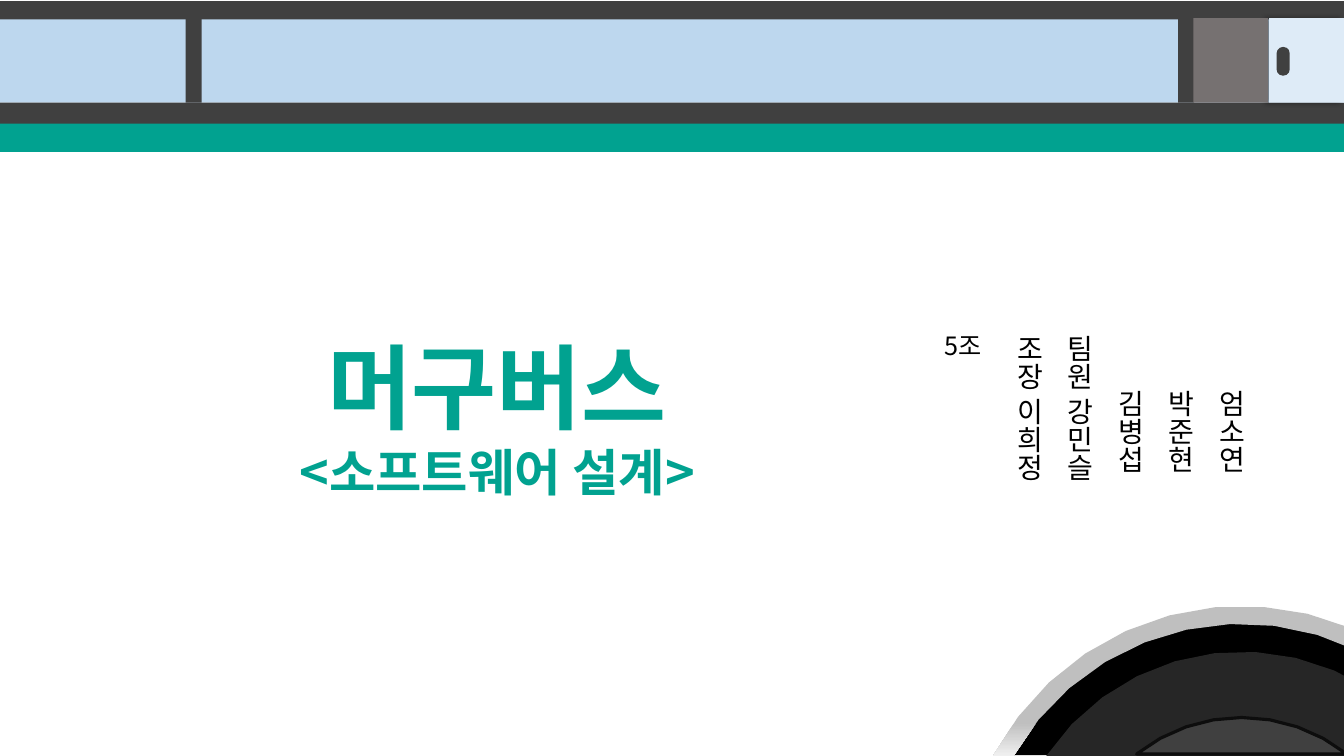
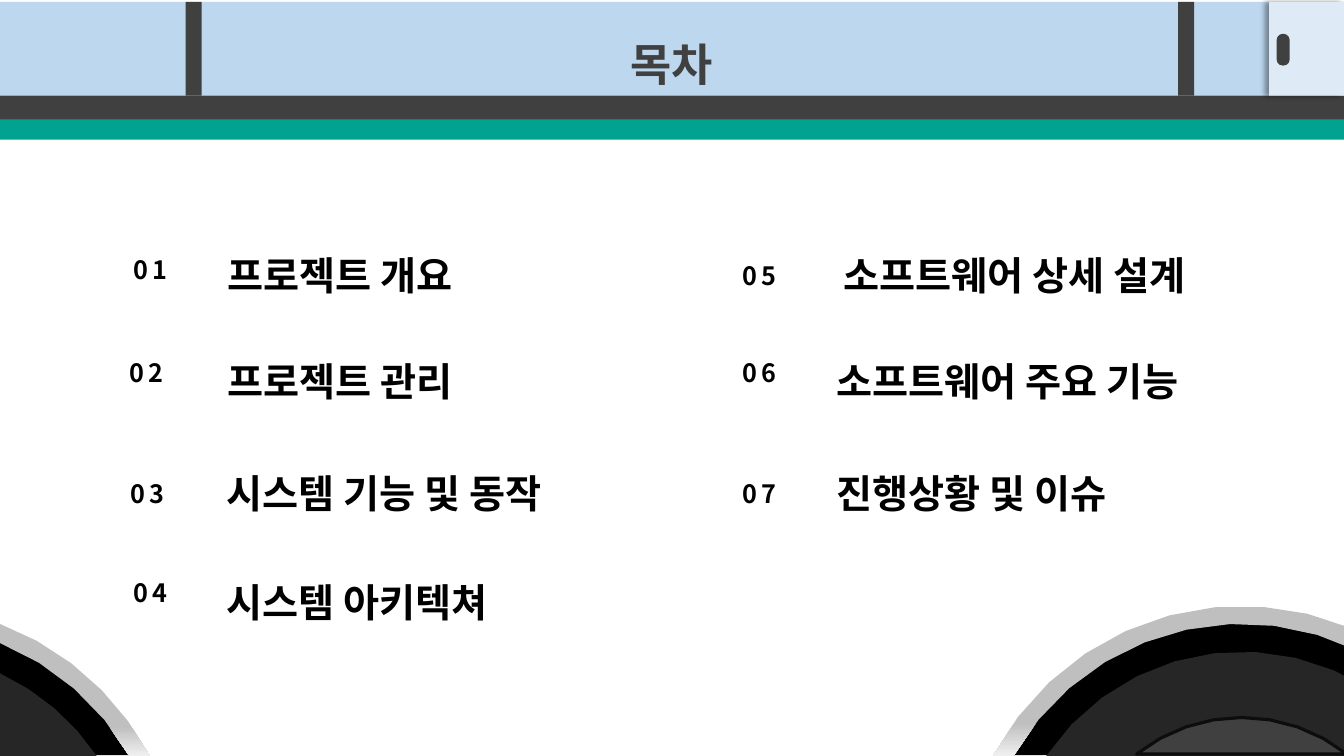
from collections import namedtuple
from math import asin, ceil, cos, pi, sin, sqrt

from lxml.etree import SubElement
from pptx import Presentation
from pptx.dml.color import RGBColor
from pptx.enum.shapes import MSO_SHAPE as Preset
from pptx.enum.text import MSO_AUTO_SIZE as Fit, PP_ALIGN as Align
from pptx.oxml.ns import qn
from pptx.util import Cm, Pt

FONT = "Noto Sans CJK KR"
COLORS = {
    "paper": "FFFFFF", "teal": "01A290", "frame": "404040", "glass": "BDD7EE",
    "door": "DEEBF7", "panel": "767171", "tyre": "000000", "rim": "262626",
    "hub_line": "0D0D0D", "arch": "BFBFBF", "arch_fade": "F0F0F0", "ink": "000000",
}
HEIGHT = 19.05
WIDTH = HEIGHT * 16 / 9
WHEEL_RIGHT, WHEEL_LEFT = 31.29, -2.49
BLEED_RIGHT = 36.02

Box = namedtuple("Box", "left top width height")
Entry = namedtuple("Entry", "number_left number_top title_left title_width title")

ENTRY_TOPS = (6.22, 8.89, 11.71, 14.45)
COLUMNS = (
    (
        Entry(2.77, 6.29, 5.49, 6.86, "프로젝트 개요"),
        Entry(2.67, 8.89, 5.49, 6.86, "프로젝트 관리"),
        Entry(2.69, 11.92, 5.46, 9.55, "시스템 기능 및 동작"),
        Entry(2.77, 14.43, 5.46, 7.85, "시스템 아키텍쳐"),
    ),
    (
        Entry(18.1, 6.43, 21.01, 10.19, "소프트웨어 상세 설계"),
        Entry(18.1, 8.89, 20.83, 10.54, "소프트웨어 주요 기능"),
        Entry(18.1, 11.92, 20.83, 8.2, "진행상황 및 이슈"),
    ),
)


def rgb(name):
    """Return the named colour."""
    return RGBColor.from_string(COLORS[name])


def paint(shape, color):
    """Give a shape a plain fill without line or shadow."""
    shape.shadow.inherit = False
    shape.fill.solid()
    shape.fill.fore_color.rgb = rgb(color)
    shape.line.fill.background()
    return shape


def add_block(group, box, color, preset=Preset.RECTANGLE):
    """Add a filled preset shape to a group."""
    return paint(group.shapes.add_shape(preset, *map(Cm, box)), color)


def add_text(page, box, lines, size, color="ink", bold=False, align=None,
             wrap=True, spacing=None, vertical=None, tracking=None):
    """Add a text box with one paragraph for each line."""
    frame = page.shapes.add_textbox(*map(Cm, box)).text_frame
    frame.word_wrap = wrap
    frame.auto_size = Fit.SHAPE_TO_FIT_TEXT
    if vertical:
        frame._txBody.bodyPr.set("vert", vertical)
    frame.text = "\n".join(lines)
    for para in frame.paragraphs:
        para.alignment = align
        para.line_spacing = spacing
        for span in para.runs:
            span.font.name = FONT
            span.font.size = Pt(size)
            span.font.bold = bold
            span.font.color.rgb = rgb(color)
            props = span._r.get_or_add_rPr()
            SubElement(props, qn("a:ea"), typeface=FONT)
            if tracking:
                props.set("spc", str(tracking * 100))
    return frame


def add_door_shadow(door):
    """Let the door cast a soft shadow to its left."""
    effects = door._element.spPr.find(qn("a:effectLst"))
    shadow = SubElement(effects, qn("a:outerShdw"), blurRad=str(Pt(4)), dist=str(Pt(3)),
                        dir="10800000", algn="r", rotWithShape="0")
    tone = SubElement(shadow, qn("a:srgbClr"), val=COLORS["ink"])
    SubElement(tone, qn("a:alpha"), val="40000")


def add_bus_side(page, window, sill, stripe, has_roof=False):
    """Draw the bus windows, frame, stripe and door around the window box."""
    group = page.shapes.add_group_shape()
    left, top, width, height = window
    bottom = top + height
    overlap = 0.02
    add_block(group, window, "glass")
    add_block(group, Box(left, bottom + sill - overlap, width, stripe + overlap), "teal")
    add_block(group, Box(left, bottom, width, sill), "frame")
    if has_roof:
        add_block(group, Box(left, 0.03, width, top), "frame")
    for post in (4.68, 29.69):
        add_block(group, Box(left + post, bottom - 2.36, 0.4, 2.36), "frame")
    add_door_shadow(add_block(group, Box(left + 31.98, top, 1.9, height), "door"))
    latch_box = Box(left + 32.17, top + height * 0.34, 0.33, height * 0.34)
    latch = add_block(group, latch_box, "frame", Preset.ROUNDED_RECTANGLE)
    latch.adjustments[0] = 0.48
    if has_roof:
        add_block(group, Box(left + 30.07, top, 1.89, height), "panel")


def arc_points(center, radius, bounds):
    """Return points on a circle's top between the side bounds and above the floor."""
    center_x, center_y = center
    low, high, floor = bounds
    reach = sqrt(radius ** 2 - (center_y - floor) ** 2)
    first, last = (
        asin((x - center_x) / radius)
        for x in (max(low, center_x - reach), min(high, center_x + reach))
    )
    steps = ceil((last - first) / (pi / 18))
    angles = [first + (last - first) * step / steps for step in range(steps + 1)]
    return [(center_x + radius * sin(a), center_y - radius * cos(a)) for a in angles]


def add_outline(group, points, color):
    """Add a closed freeform through the points."""
    start, *others = [(Cm(x), Cm(y)) for x, y in points]
    builder = group.shapes.build_freeform(*start)
    builder.add_line_segments(others, close=True)
    return paint(builder.convert_to_shape(), color)


def add_disc(group, center, radius, bounds, color):
    """Add the visible part of a disc."""
    points = arc_points(center, radius, bounds)
    floor = bounds[2]
    corners = [(x, floor) for x, y in (points[-1], points[0]) if y < floor - 0.01]
    return add_outline(group, points + corners, color)


def add_wheel(page, center_x, low, high, has_hub=False):
    """Draw a wheel under its arch, cut off by the page's lower edge."""
    group = page.shapes.add_group_shape()
    center = (center_x, HEIGHT + 3.3)
    bounds = (low, high, HEIGHT)
    add_disc(group, center, 6.68, (low, high, HEIGHT - 0.02), "tyre")
    add_disc(group, center, 5.93, bounds, "rim")
    if has_hub:
        hub = add_disc(group, center, 4.27, (low, high, HEIGHT - 0.05), "frame")
        hub.line.color.rgb = rgb("hub_line")
        hub.line.width = Pt(2.25)
    outer, inner = (arc_points(center, radius, bounds) for radius in (7.08, 6.63))
    arch = add_outline(group, outer + inner[::-1], "arch")
    arch.fill.gradient()
    arch.fill.gradient_angle = 270
    for stop, place, color in zip(arch.fill.gradient_stops, (0.78, 1), ("arch", "arch_fade")):
        stop.position = place
        stop.color.rgb = rgb(color)


def add_page(deck):
    """Add a blank page with a plain background."""
    page = deck.slides.add_slide(deck.slide_layouts[6])
    page.background.fill.solid()
    page.background.fill.fore_color.rgb = rgb("paper")
    return page


def add_team(page, box):
    """Write the team members in vertical columns, read from the right."""
    members = ("엄소연", "박준현", "김병섭", "팀원 강민슬", "조장 이희정")
    frame = add_text(page, box, members, 20, spacing=1.5, vertical="eaVert")
    for para in frame.paragraphs[:3]:
        props = para._p.get_or_add_pPr()
        props.set("marL", str(Cm(1.37)))
        props.set("indent", "0")


def add_cover(deck):
    """Build the cover page."""
    page = add_page(deck)
    frame = add_text(page, Box(6.63, 8.2, 11.79, 4.62), ["머구버스", "<소프트웨어 설계>"],
                     36, "teal", bold=True, align=Align.CENTER, wrap=False)
    frame.paragraphs[0].runs[0].font.size = Pt(66)
    add_team(page, Box(25.06, 8.2, 6.93, 4.45))
    add_wheel(page, WHEEL_RIGHT, 0, BLEED_RIGHT, has_hub=True)
    add_bus_side(page, Box(0, 0.46, WIDTH, 2.13), 0.53, 0.71, has_roof=True)
    add_text(page, Box(23.56, 8.2, 1.5, 2.24), ["5조"], 18, wrap=False,
             vertical="wordArtVertRtl")


def add_entry(page, number, top, entry):
    """Write one numbered line of the contents."""
    add_text(page, Box(entry.number_left, entry.number_top, 2.06, 1.02),
             [f"{number:02}"], 18, bold=True, align=Align.CENTER, tracking=3)
    add_text(page, Box(entry.title_left, top, entry.title_width, 1.45),
             [entry.title], 28, bold=True, wrap=False)


def add_contents(deck):
    """Build the contents page."""
    page = add_page(deck)
    add_bus_side(page, Box(0, 0.05, WIDTH, 2.36), 0.6, 0.51)
    add_text(page, Box(10.46, 0.13, 12.95, 2.31), ["목차"], 32, "frame", bold=True,
             align=Align.CENTER, spacing=1.5)
    add_wheel(page, WHEEL_LEFT, 0, WIDTH)
    add_wheel(page, WHEEL_RIGHT, 0, BLEED_RIGHT, has_hub=True)
    placed = [pair for column in COLUMNS for pair in zip(ENTRY_TOPS, column)]
    for number, (top, entry) in enumerate(placed, 1):
        add_entry(page, number, top, entry)


def main():
    """Build and save the deck."""
    deck = Presentation()
    deck.slide_width, deck.slide_height = Cm(WIDTH), Cm(HEIGHT)
    add_cover(deck)
    add_contents(deck)
    deck.save("out.pptx")


if __name__ == "__main__":
    main()
